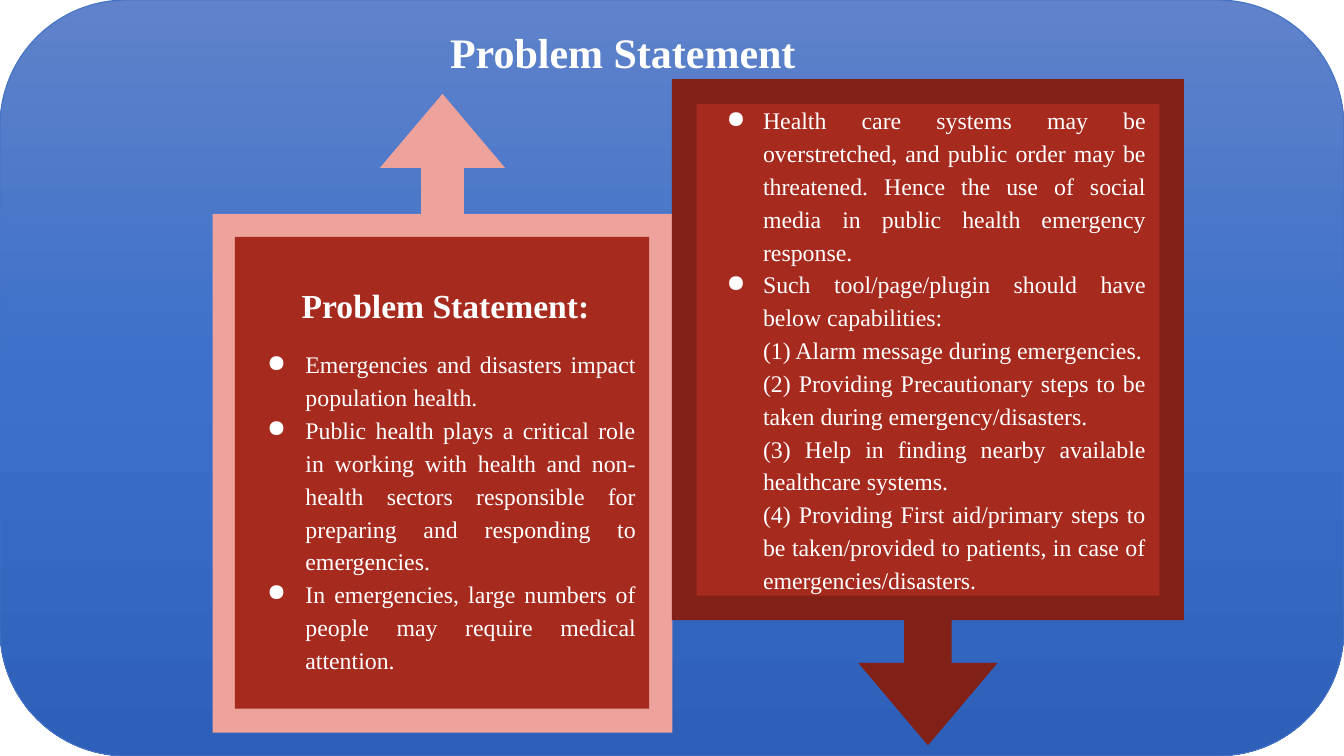
import copy

import lxml.etree
import pptx
import pptx.dml.color
import pptx.enum.shapes
import pptx.enum.text
import pptx.oxml.ns
import pptx.util

COLORS = {
    "white": "FFFFFF", "frame": "4472C4", "panel": "A72A1E",
    "pink": "EDA29B", "maroon": "802017",
}
SKY = [(0, "5F82CA"), (0.5, "3C70CA"), (1, "2E60B9")]
SLIDE_WIDTH, SLIDE_HEIGHT = pptx.util.Inches(13.33), pptx.util.Inches(7.5)
SHAPE = pptx.enum.shapes.MSO_SHAPE
ALIGN = pptx.enum.text.PP_ALIGN
CALLOUT_ADJUSTMENTS = (0.093, 0.136, 0.161, 0.812)

HEADING = {"alignment": ALIGN.CENTER, "line_spacing": 1.15,
           "space_after": pptx.util.Pt(14.5)}
BODY = {"alignment": ALIGN.JUSTIFY, "line_spacing": 1.15}

IMPACTS = [
    "Emergencies and disasters impact population health.",
    "Public health plays a critical role in working with health and non-health "
    "sectors responsible for preparing and responding to emergencies.",
    "In emergencies, large numbers of people may require medical attention.",
]
NEEDS = [
    "Health care systems may be overstretched, and public order may be threatened. "
    "Hence the use of social media in public health emergency response.",
    "Such tool/page/plugin should have below capabilities:",
]
CAPABILITIES = [
    "(1) Alarm message during emergencies.",
    "(2) Providing Precautionary steps to be taken during emergency/disasters.",
    "(3) Help in finding nearby available healthcare systems.",
    "(4) Providing First aid/primary steps to be taken/provided to patients, "
    "in case of emergencies/disasters.",
]


def rgb(hex_color):
    return pptx.dml.color.RGBColor.from_string(hex_color)


def place(left, top, width, height):
    """Turn percentages of the slide's size into lengths."""
    return [round(share * size / 100) for share, size in zip(
        (left, top, width, height), (SLIDE_WIDTH, SLIDE_HEIGHT) * 2)]


def apply_format(target, values):
    for attribute, value in values.items():
        setattr(target, attribute, value)


def add_block(slide, kind, area, color, rotation=0, adjustments=()):
    block = slide.shapes.add_shape(kind, *place(*area))
    block.shadow.inherit = False
    block.rotation = rotation
    for index, value in enumerate(adjustments):
        block.adjustments[index] = value
    block.fill.solid()
    block.fill.fore_color.rgb = rgb(color)
    block.line.fill.background()
    return block


def add_backdrop(slide):
    backdrop = add_block(slide, SHAPE.ROUNDED_RECTANGLE, (0, 0, 100, 100),
                         COLORS["frame"], adjustments=(0.167,))
    backdrop.fill.gradient()
    backdrop.fill.gradient_angle = 270
    first_stop = backdrop.fill.gradient_stops[0]._gs
    first_stop.addnext(copy.deepcopy(first_stop))
    for stop, (position, color) in zip(backdrop.fill.gradient_stops, SKY):
        stop.position = position
        stop.color.rgb = rgb(color)
    backdrop.line.color.rgb = rgb(COLORS["frame"])
    backdrop.line.width = pptx.util.Pt(0.75)


def add_text_area(slide, area, margin_x, margin_y, anchor):
    frame = slide.shapes.add_textbox(*place(*area)).text_frame
    apply_format(frame, {
        "word_wrap": True, "vertical_anchor": anchor,
        "margin_left": pptx.util.Inches(margin_x),
        "margin_right": pptx.util.Inches(margin_x),
        "margin_top": pptx.util.Inches(margin_y),
        "margin_bottom": pptx.util.Inches(margin_y),
    })
    return frame


def set_indent(paragraph, hanging, bulleted):
    properties = paragraph._p.get_or_add_pPr()
    properties.set("marL", str(pptx.util.Inches(0.5)))
    properties.set("indent", str(-pptx.util.Inches(hanging)))
    if bulleted:
        qn = pptx.oxml.ns.qn
        bullet_color = lxml.etree.SubElement(properties, qn("a:buClr"))
        lxml.etree.SubElement(bullet_color, qn("a:srgbClr"), val=COLORS["white"])
        lxml.etree.SubElement(properties, qn("a:buChar"), char="●")


def add_line(frame, text, layout, size, bold=False, hanging=None, bulleted=False):
    first = frame.paragraphs[0]
    paragraph = frame.add_paragraph() if first.runs else first
    if hanging is not None:
        set_indent(paragraph, hanging, bulleted)
    apply_format(paragraph, layout)
    run = paragraph.add_run()
    run.text = text
    apply_format(run.font, {"name": "Times New Roman", "bold": bold,
                            "size": pptx.util.Pt(size)})
    run.font.color.rgb = rgb(COLORS["white"])


def add_callout(slide, arrow_area, arrow_color, rotation, panel_area, text_area):
    add_block(slide, SHAPE.RIGHT_ARROW_CALLOUT, arrow_area, arrow_color,
              rotation, CALLOUT_ADJUSTMENTS)
    add_block(slide, SHAPE.RECTANGLE, panel_area, COLORS["panel"])
    return add_text_area(slide, text_area, 0.13, 0.13,
                         pptx.enum.text.MSO_ANCHOR.TOP)


def main():
    presentation = pptx.Presentation()
    presentation.slide_width = SLIDE_WIDTH
    presentation.slide_height = SLIDE_HEIGHT
    slide = presentation.slides.add_slide(presentation.slide_layouts[6])

    # Backdrop and title
    add_backdrop(slide)
    title = add_text_area(slide, (29.85, 2.67, 33, 9.2), 0.1, 0.05,
                          pptx.enum.text.MSO_ANCHOR.MIDDLE)
    add_line(title, "Problem Statement",
             {"alignment": ALIGN.CENTER, "line_spacing": 0.9}, 30, bold=True)

    # Upward callout: the problem
    problem = add_callout(slide, (9.15, 24.27, 47.55, 60.8), COLORS["pink"], 270,
                          (17.48, 31.33, 30.83, 62.4), (18, 35.2, 30.3, 56.93))
    add_line(problem, "Problem Statement:", HEADING, 24, bold=True)
    for impact in IMPACTS:
        add_line(problem, impact, BODY, 17, hanging=0.38, bulleted=True)

    # Downward callout: the response
    response = add_callout(slide, (44.25, 20.67, 49.58, 67.73), COLORS["maroon"], 90,
                           (51.83, 13.73, 34.43, 65.07), (52.05, 11.73, 34.2, 69.2))
    for need in NEEDS:
        add_line(response, need, BODY, 17, hanging=0.36, bulleted=True)
    for capability in CAPABILITIES:
        add_line(response, capability, BODY, 17, hanging=0)

    presentation.save("out.pptx")


if __name__ == "__main__":
    main()
